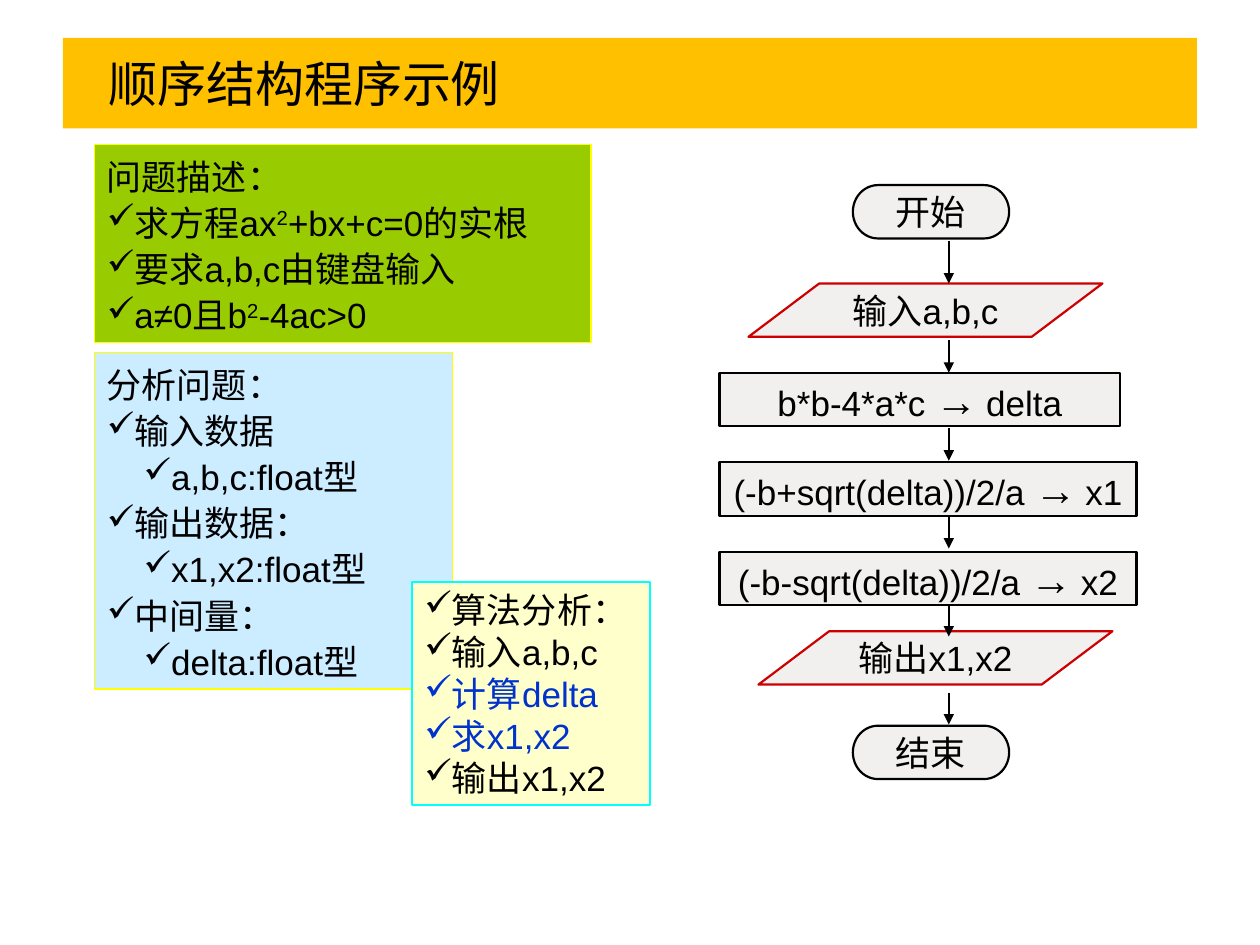
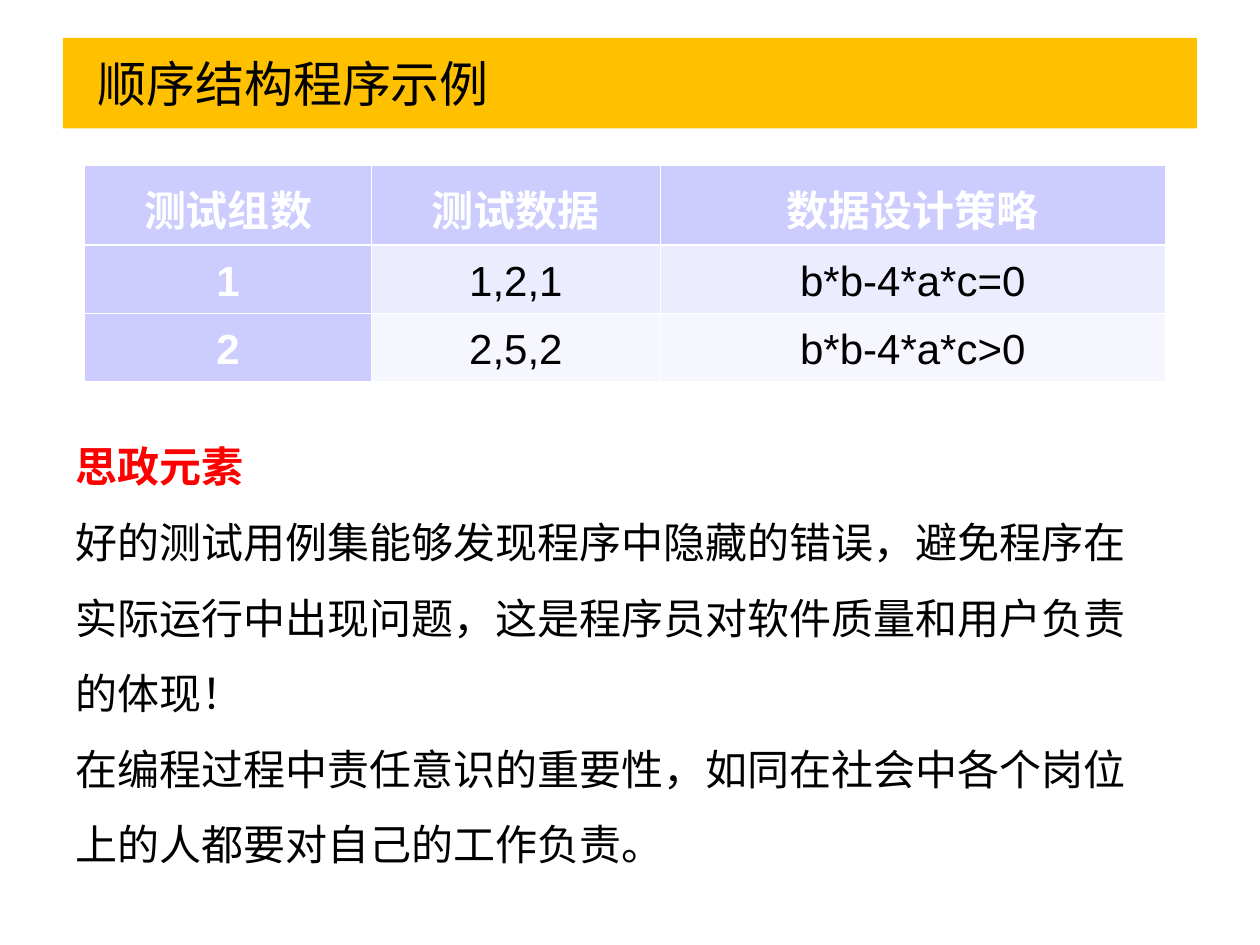
from lxml.etree import SubElement
from pptx import Presentation
from pptx.dml.color import RGBColor
from pptx.enum.shapes import MSO_CONNECTOR, MSO_SHAPE as Preset
from pptx.enum.text import MSO_ANCHOR as Anchor, PP_ALIGN as Align
from pptx.oxml.ns import qn
from pptx.util import Pt

BLACK, WHITE, YELLOW = "000000", "FFFFFF", "FFFF00"
BLUE, RED, LAVENDER = "0033CC", "FF0000", "CCCCFF"


def color(value):
    return RGBColor.from_string(value)


def style(font, size, ink=BLACK, bold=False, name="Arial"):
    font.size, font.bold, font.name = Pt(size), bold, name
    font.color.rgb = color(ink)


deck = Presentation()
deck.slide_width, deck.slide_height = Pt(720), Pt(540)
slides = []
for title_indent in (26, 19.7):
    slide = deck.slides.add_slide(deck.slide_layouts[6])
    band = slide.shapes.add_shape(Preset.RECTANGLE, Pt(36), Pt(21.6), Pt(648), Pt(51.8))
    band.shadow.inherit = False
    band.fill.solid()
    band.fill.fore_color.rgb = color("FFC000")
    band.line.fill.background()
    frame = band.text_frame
    frame.text = "顺序结构程序示例"
    frame.margin_left = Pt(title_indent)
    frame.vertical_anchor = Anchor.MIDDLE
    frame.paragraphs[0].alignment = Align.LEFT
    style(frame.paragraphs[0].runs[0].font, 28)
    slides.append(slide)
example, testing = slides

problem = [
    ("问题描述：", None, BLACK),
    ("求方程ax^2^+bx+c=0的实根", 0, BLACK),
    ("要求a,b,c由键盘输入", 0, BLACK),
    ("a≠0且b^2^-4ac>0", 0, BLACK),
]
analysis = [
    ("分析问题：", None, BLACK),
    ("输入数据", 0, BLACK),
    ("a,b,c:float型", 1, BLACK),
    ("输出数据：", 0, BLACK),
    ("x1,x2:float型", 1, BLACK),
    ("中间量：", 0, BLACK),
    ("delta:float型", 1, BLACK),
]
algorithm = [
    ("算法分析：", 0, BLACK),
    ("输入a,b,c", 0, BLACK),
    ("计算delta", 0, BLUE),
    ("求x1,x2", 0, BLUE),
    ("输出x1,x2", 0, BLACK),
]
notes = [
    (problem, 54, 82.8, 283.7, 113, "99CC00", YELLOW, 1.1),
    (analysis, 54, 201.6, 204.5, 192.2, "CCECFF", YELLOW, 1.1),
    (algorithm, 235.4, 332.6, 136.1, 127.4, "FFFFCC", "00FFFF", 1),
]
for lines, left, top, width, height, fill, edge, spacing in notes:
    note = example.shapes.add_shape(Preset.RECTANGLE, Pt(left), Pt(top), Pt(width), Pt(height))
    note.shadow.inherit = False
    note.fill.solid()
    note.fill.fore_color.rgb = color(fill)
    note.line.color.rgb = color(edge)
    note.line.width = Pt(0.75)
    frame = note.text_frame
    frame.vertical_anchor = Anchor.TOP
    for index, (text, level, ink) in enumerate(lines):
        paragraph = frame.add_paragraph() if index else frame.paragraphs[0]
        paragraph.alignment, paragraph.line_spacing = Align.LEFT, float(spacing)
        if level is not None:
            paragraph.level = level
            props = paragraph._p.get_or_add_pPr()
            props.set("marL", str(Pt(36 * level)))
            props.set("indent", str(Pt(-15 * level)))
            bullet_ink = SubElement(props, qn("a:buClr"))
            SubElement(bullet_ink, qn("a:srgbClr"), val=ink)
            SubElement(props, qn("a:buChar"), char="✓")
        for part, piece in enumerate(text.split("^")):
            run = paragraph.add_run()
            run.text = piece
            style(run.font, 20, ink)
            if part % 2:
                run.font._element.set("baseline", "30000")

TERMINAL = (Preset.FLOWCHART_TERMINATOR, BLACK)
DATA = (Preset.FLOWCHART_DATA, "CC0000")
PROCESS = (Preset.FLOWCHART_PROCESS, BLACK)
steps = [
    (TERMINAL, 487.4, 105.8, 89.3, ["开始"]),
    (DATA, 427.7, 162, 202.3, ["输入a,b,c"]),
    (PROCESS, 411.1, 213.1, 229, ["b*b-4*a*c ", "→", " ", "delta"]),
    (PROCESS, 411.1, 264.2, 238.3, ["(-b+sqrt(delta))/2/a ", "→", " ", "x1"]),
    (PROCESS, 411.1, 315.4, 238.3, ["(-b-sqrt(delta))/2/a ", "→", " ", "x2"]),
    (DATA, 433.4, 360.7, 202.3, ["输出x1,x2"]),
    (TERMINAL, 487.4, 414.7, 89.3, ["结束"]),
]
for (preset, edge), left, top, width, pieces in steps:
    step = example.shapes.add_shape(preset, Pt(left), Pt(top), Pt(width), Pt(30.5))
    step.shadow.inherit = False
    step.fill.solid()
    step.fill.fore_color.rgb = color("F1F0EF")
    step.line.color.rgb = color(edge)
    step.line.width = Pt(1.25)
    frame = step.text_frame
    frame.word_wrap = False
    frame.vertical_anchor = Anchor.MIDDLE
    frame.paragraphs[0].alignment = Align.CENTER
    for piece in pieces:
        run = frame.paragraphs[0].add_run()
        run.text = piece
        style(run.font, {"→": 24, " ": 18}.get(piece, 20))

flow_x = Pt(542.2)
flows = [(137.5, 162)] + [(194.4 + 50.4 * i, 213 + 50.25 * i) for i in range(5)]
for start, end in flows:
    arrow = example.shapes.add_connector(MSO_CONNECTOR.STRAIGHT, flow_x, Pt(start), flow_x, Pt(end))
    arrow.line.color.rgb = color(BLACK)
    arrow.line.width = Pt(1.25)
    SubElement(arrow.line._get_or_add_ln(), qn("a:tailEnd"), type="triangle")
    SubElement(arrow._element.spPr, qn("a:effectLst"))

cases = [
    ("测试组数", "测试数据", "数据设计策略"),
    ("1", "1,2,1", "b*b-4*a*c=0"),
    ("2", "2,5,2", "b*b-4*a*c>0"),
]
row_fills = [LAVENDER, "ECECFF", "F6F6FF"]
table = testing.shapes.add_table(3, 3, Pt(48.2), Pt(94.6), Pt(617.8), Pt(116.7)).table
for column, width in zip(table.columns, (164.2, 164.9, 288.7)):
    column.width = Pt(width)
for r, case in enumerate(cases):
    table.rows[r].height = Pt(38.9)
    for c, text in enumerate(case):
        heading = r == 0 or c == 0
        cell = table.cell(r, c)
        cell.text = text
        cell.vertical_anchor = Anchor.MIDDLE
        cell.margin_left = cell.margin_right = Pt(5)
        paragraph = cell.text_frame.paragraphs[0]
        paragraph.alignment, paragraph.line_spacing = Align.CENTER, 1.1
        style(paragraph.runs[0].font, 24, WHITE if heading else BLACK, heading)
        props = cell._tc.get_or_add_tcPr()
        for side in ("L", "R", "T", "B"):
            thick = (r, side) in ((0, "B"), (1, "T"))
            border = SubElement(props, qn(f"a:ln{side}"), w=str(Pt(1.47 if thick else 0.45)))
            SubElement(SubElement(border, qn("a:solidFill")), qn("a:srgbClr"), val=WHITE)
        cell.fill.solid()
        cell.fill.fore_color.rgb = color(LAVENDER if heading else row_fills[r])

values = [
    "思政元素",
    "好的测试用例集能够发现程序中隐藏的错误，避免程序在实际运行中出现问题，这是程序员对软件质量和用户负责的体现！",
    "在编程过程中责任意识的重要性，如同在社会中各个岗位上的人都要对自己的工作负责。",
]
message = testing.shapes.add_textbox(Pt(36), Pt(234), Pt(630), Pt(266.4)).text_frame
message.word_wrap = True
message.text = "\n".join(values)
for index, paragraph in enumerate(message.paragraphs):
    paragraph.line_spacing = 1.5
    style(paragraph.runs[0].font, 24, BLACK if index else RED, index == 0, "Inter")

deck.save("out.pptx")
